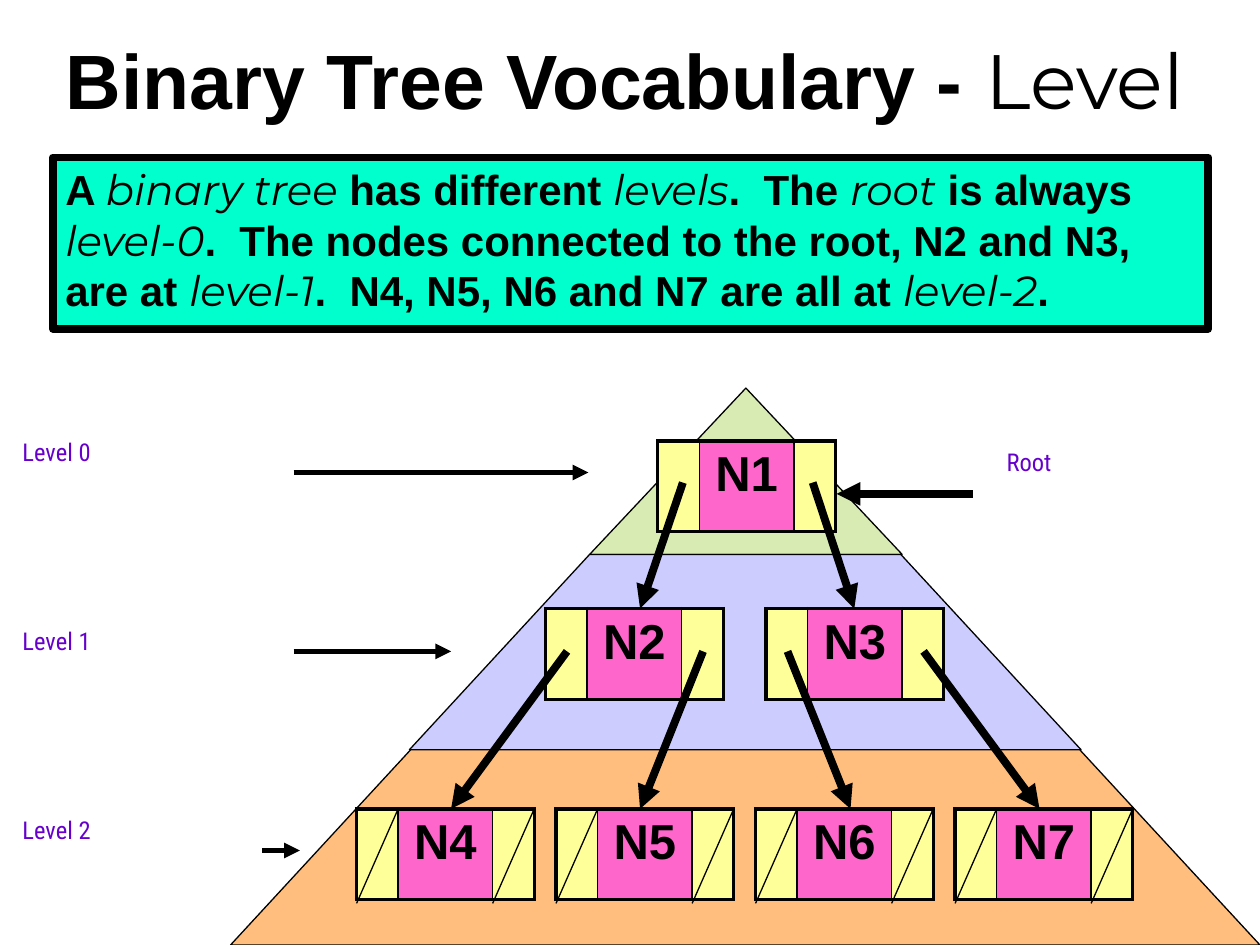
from pptx import Presentation, util as u
from pptx.dml import color
from pptx.enum import shapes, text
from pptx.oxml import parse_xml
from pptx.oxml.ns import nsdecls
from lxml import etree

INK = "000000"


def rgb(code):
    return color.RGBColor.from_string(code)


class Board:
    sans, light, small = "Arial", "Montserrat", "Roboto Condensed"
    cell_w = [0.33, 0.75, 0.33]
    cell_h = 0.72

    def __init__(self, slide):
        self.slide = slide
        self.items = slide.shapes

    def area(self, *sizes):
        return [u.Inches(size) for size in sizes]

    def style(self, run, face, size, tint=INK, bold=False, slant=False):
        font = run.font
        font.name, font.size = face, u.Pt(size)
        font.bold, font.italic = bold, slant
        font.color.rgb = rgb(tint)

    def mixed(self, para, parts, size, slant):
        for i, part in enumerate(parts):
            run = para.add_run()
            run.text = part
            plain = i % 2 == 0
            self.style(run, self.sans if plain else self.light, size,
                       bold=plain, slant=slant and not plain)

    def paint(self, shape, fill, width):
        shape.shadow.inherit = False
        shape.fill.solid()
        shape.fill.fore_color.rgb = rgb(fill)
        shape.line.color.rgb = rgb(INK)
        shape.line.width = u.Pt(width)

    def title(self, parts):
        head = self.items.title
        head.left, head.top, head.width, head.height = self.area(0, 0, 9.92, 1.25)
        frame = head.text_frame
        frame.auto_size = text.MSO_AUTO_SIZE.NONE
        frame.vertical_anchor = text.MSO_ANCHOR.MIDDLE
        para = frame.paragraphs[0]
        para.alignment = text.PP_ALIGN.CENTER
        self.mixed(para, parts, 44, False)

    def bands(self, rows):
        group = self.items.add_group_shape()
        for points, fill in rows:
            spots = [self.area(*point) for point in points]
            path = group.shapes.build_freeform(*spots[0])
            path.add_line_segments(spots[1:], close=True)
            self.paint(path.convert_to_shape(), fill, 0.75)

    def box(self, place, fill, parts):
        shape = self.items.add_shape(shapes.MSO_SHAPE.RECTANGLE, *self.area(*place))
        self.paint(shape, fill, 4.5)
        frame = shape.text_frame
        frame.word_wrap = True
        frame.auto_size = text.MSO_AUTO_SIZE.SHAPE_TO_FIT_TEXT
        frame.vertical_anchor = text.MSO_ANCHOR.TOP
        para = frame.paragraphs[0]
        para.alignment = text.PP_ALIGN.LEFT
        self.mixed(para, parts, 24, True)

    def edge(self, cell, widths):
        props = cell._tc.get_or_add_tcPr()
        for i, (side, width) in enumerate(zip("LRTB", widths)):
            props.insert(i, parse_xml(
                f'<a:ln{side} {nsdecls("a")} w="{u.Pt(width)}"><a:solidFill>'
                f'<a:srgbClr val="{INK}"/></a:solidFill></a:ln{side}>'))

    def node(self, name, x, y):
        place = self.area(x, y, sum(self.cell_w), self.cell_h)
        table = self.items.add_table(1, 3, *place).table
        table.first_row = table.horz_banding = False
        table.rows[0].height = u.Inches(self.cell_h)
        for i, width in enumerate(self.cell_w):
            table.columns[i].width = u.Inches(width)
            cell = table.cell(0, i)
            cell.fill.solid()
            cell.fill.fore_color.rgb = rgb("FF66CC" if i == 1 else "FFFF99")
            self.edge(cell, (1 if i else 2.25, 2.25 if i == 2 else 1, 2.25, 2.25))
        para = table.cell(0, 1).text_frame.paragraphs[0]
        para.text = name
        para.alignment = text.PP_ALIGN.CENTER
        self.style(para.runs[0], self.sans, 28, bold=True)

    def line(self, start, end, width, arrow=True):
        link = self.items.add_connector(
            shapes.MSO_CONNECTOR.STRAIGHT, *self.area(*start, *end))
        link.line.color.rgb = rgb(INK)
        link.line.width = u.Pt(width)
        if arrow:
            link.line._get_or_add_ln().append(
                parse_xml(f'<a:tailEnd {nsdecls("a")} type="triangle"/>'))
        etree.SubElement(link._element.spPr, f"{{{link._element.nsmap['a']}}}effectLst")

    def label(self, words, x, y, width):
        frame = self.items.add_textbox(*self.area(x, y, width, 0.67)).text_frame
        frame.word_wrap = True
        frame.text = words
        self.style(frame.paragraphs[0].runs[0], self.small, 14, "6600CC")


def main():
    deck = Presentation()
    deck.slide_width, deck.slide_height = u.Inches(10), u.Inches(7.5)
    board = Board(deck.slides.add_slide(deck.slide_layouts[5]))

    board.bands([
        ([(5.92, 3.08), (7.16, 4.4), (4.68, 4.4)], "D8EBB3"),
        ([(4.68, 4.4), (7.15, 4.4), (8.58, 5.95), (3.25, 5.95)], "CCCCFF"),
        ([(3.26, 5.95), (8.57, 5.95), (10, 7.5), (1.83, 7.5)], "FFBE7D"),
    ])
    board.title(["Binary Tree Vocabulary - ", "Level"])
    board.box((0.42, 1.25, 9.17, 1.36), "00FFCC", [
        "A ", "binary tree", " has different ", "levels", ".  The ", "root",
        " is always ", "level-0",
        ".  The nodes connected to the root, N2 and N3, are at ", "level-1",
        ".  N4, N5, N6 and N7 are all at ", "level-2", "."])

    leaf_y = 6.42
    leaves = [2.83 + i * 4.75 / 3 for i in range(4)]
    spots = [(5.22, 3.5), (4.33, 4.83), (6.08, 4.83)] + [(x, leaf_y) for x in leaves]
    for i, spot in enumerate(spots, 1):
        board.node(f"N{i}", *spot)

    for start, end in [
        ((5.42, 3.83), (5.08, 4.83)),
        ((6.45, 3.83), (6.78, 4.83)),
        ((4.5, 5.17), (3.58, leaf_y)),
        ((5.58, 5.17), (5.08, leaf_y)),
        ((6.25, 5.17), (6.75, leaf_y)),
        ((7.33, 5.17), (8.25, leaf_y)),
        ((7.72, 3.92), (6.64, 3.92)),
    ]:
        board.line(start, end, 4.5)
    for x in leaves:
        for left in (x, x + 1.08):
            board.line((left + 0.33, leaf_y), (left, leaf_y + 0.75), 0.75, False)

    board.label("Root", 7.89, 3.5, 1.53)
    for i, (left, right, y) in enumerate(
            [(2.33, 4.67, 3.75), (2.33, 3.58, 5.17), (2.08, 2.38, 6.75)]):
        board.label(f"Level {i}", 0.08, 3.42 + 1.5 * i, 1.92)
        board.line((left, y), (right, y), 3)

    deck.save("out.pptx")


if __name__ == "__main__":
    main()
